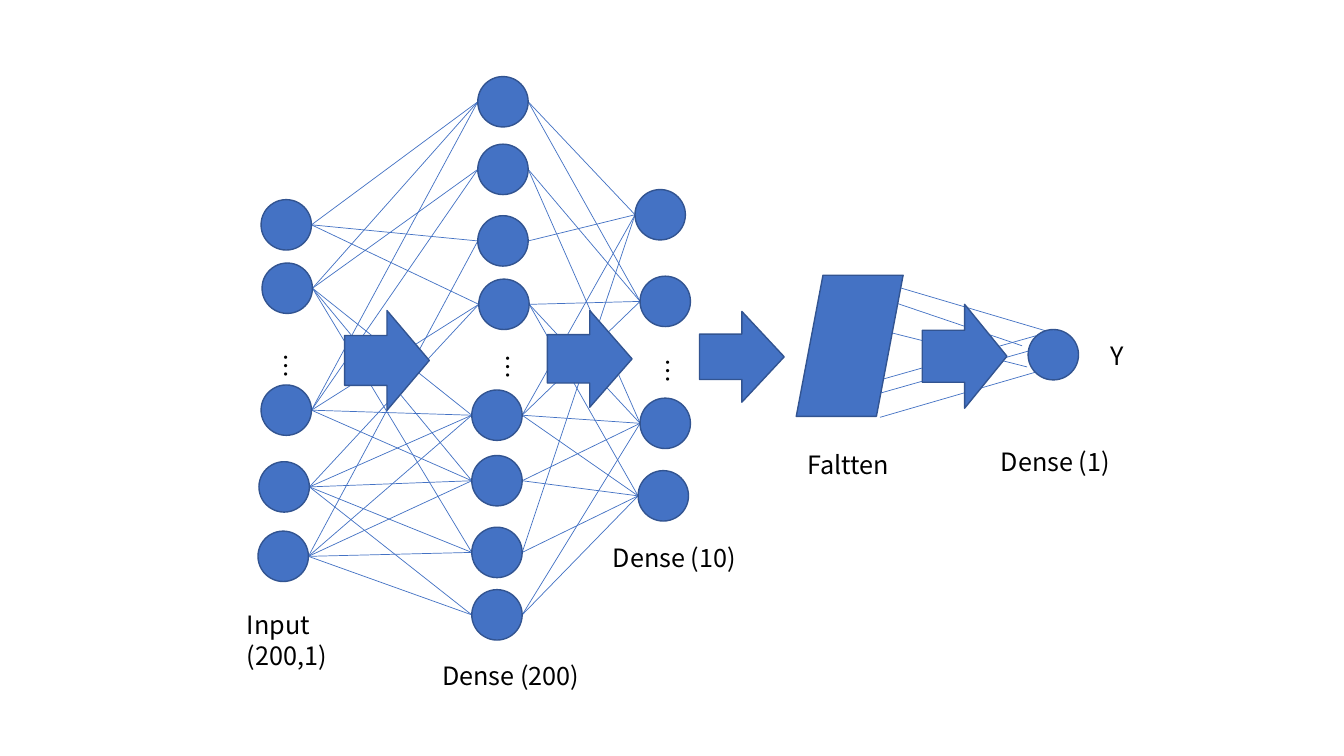
"""Build a slide showing a dense neural network from input to output Y."""
from lxml import etree
from pptx import Presentation
from pptx.dml.color import RGBColor
from pptx.enum.shapes import MSO_CONNECTOR, MSO_SHAPE
from pptx.enum.text import MSO_AUTO_SIZE
from pptx.oxml.ns import qn
from pptx.util import Pt

STRAIGHT = MSO_CONNECTOR.STRAIGHT
OVAL = MSO_SHAPE.OVAL
RIGHT_ARROW = MSO_SHAPE.RIGHT_ARROW
PARALLELOGRAM = MSO_SHAPE.PARALLELOGRAM
FIT_SHAPE = MSO_AUTO_SIZE.SHAPE_TO_FIT_TEXT

BLUE = RGBColor(0x44, 0x72, 0xC4)
DARK_BLUE = RGBColor(0x32, 0x54, 0x91)
BLACK = RGBColor(0, 0, 0)
FONT = "Noto Sans CJK SC"
NODE_SIZE = 36
ARROW_WIDTH = 60.5

INPUT_NODES = [(186.5, 142.6), (187.2, 187.9), (186.5, 275), (185, 329.8), (184.3, 379.4)]
DENSE_200_NODES = [
    (341.3, 54.7), (341.3, 103), (341.3, 154.1), (342, 199.4),
    (337, 278.6), (337, 325.4), (337, 376.6), (337, 421.2),
]
DENSE_10_NODES = [(453.6, 135.4), (457.2, 197.3), (457.2, 284.4), (455.8, 336.2)]
OUTPUT_NODES = [(734.4, 235.4)]
LAYERS = [INPUT_NODES, DENSE_200_NODES, DENSE_10_NODES, OUTPUT_NODES]

INPUT_TARGETS = [(0, 2, 3), (0, 1, 4, 5, 6), (0, 1, 3, 4, 5), (3, 4, 5, 6, 7), (2, 4, 5, 6, 7)]
DENSE_200_TARGETS = [
    (0, 1), (1, 2), (0,), (1, 2, 3), (0, 1, 2, 3), (2, 3), (0, 3), (2, 3),
]
LINKED_LAYERS = [
    (INPUT_NODES, DENSE_200_NODES, INPUT_TARGETS),
    (DENSE_200_NODES, DENSE_10_NODES, DENSE_200_TARGETS),
]
FLATTEN_LINKS = [
    (630.7, 236.2, 733.7, 262.1), (632.2, 213.8, 730.1, 247),
    (628.6, 298.1, 740.2, 265.7), (634.3, 203, 746.6, 236.2),
    (626.4, 281.5, 738, 249.8), (628.6, 271.4, 740.2, 239.8),
]

ARROWS = [(246.2, 221.8, 71.3), (391, 221.8, 69.1), (499.7, 222.5, 64.8), (658.8, 217.4, 74.2)]
FLATTEN_BOX = (568.8, 196.6, 76.3, 100.8)
LABELS = [
    ("Input\n(200,1)", (169.2, 432, 76.3, 51)),
    ("Dense (200)", (308.9, 468, 122.4, 29)),
    ("Dense (10)", (430.6, 383.8, 122.4, 29)),
    ("Faltten", (569.5, 317.5, 122.4, 29)),
    ("Dense (1)", (707.8, 315.4, 122.4, 29)),
    ("Y", (786.2, 239.8, 57.6, 29)),
]
ELLIPSES = [(182.9, 245.5, 36, 39.6), (342, 246.2, 36, 39.6), (455.8, 249.1, 36, 28.1)]


def points(values):
    return [Pt(value) for value in values]


def add_link(slide, ends):
    link = slide.shapes.add_connector(STRAIGHT, *points(ends))
    link.line.color.rgb = BLUE
    link.line.width = Pt(0.5)
    etree.SubElement(link._element.spPr, qn("a:effectLst"))


def add_blue_shape(slide, kind, box):
    shape = slide.shapes.add_shape(kind, *points(box))
    shape.shadow.inherit = False
    shape.fill.solid()
    shape.fill.fore_color.rgb = BLUE
    shape.line.color.rgb = DARK_BLUE
    shape.line.width = Pt(1)


def add_label(slide, text, box, size=18, color=BLACK, vertical=False):
    frame = slide.shapes.add_textbox(*points(box)).text_frame
    frame.word_wrap = True
    frame.auto_size = FIT_SHAPE
    frame.text = text
    if vertical:
        frame._txBody.bodyPr.set("vert", "eaVert")
    for paragraph in frame.paragraphs:
        for run in paragraph.runs:
            run.font.size = Pt(size)
            run.font.color.rgb = color
            run.font.name = FONT
            etree.SubElement(run._r.rPr, qn("a:ea"), typeface=FONT)


presentation = Presentation()
presentation.slide_width = Pt(960)
presentation.slide_height = Pt(540)
slide = presentation.slides.add_slide(presentation.slide_layouts[6])

for sources, destinations, targets in LINKED_LAYERS:
    for (left, top), indexes in zip(sources, targets):
        for index in indexes:
            end_x, end_top = destinations[index]
            add_link(slide, (left + NODE_SIZE, top + NODE_SIZE / 2, end_x, end_top + NODE_SIZE / 2))
for ends in FLATTEN_LINKS:
    add_link(slide, ends)

for layer in LAYERS:
    for left, top in layer:
        add_blue_shape(slide, OVAL, (left, top, NODE_SIZE, NODE_SIZE))
for left, top, height in ARROWS:
    add_blue_shape(slide, RIGHT_ARROW, (left, top, ARROW_WIDTH, height))
add_blue_shape(slide, PARALLELOGRAM, FLATTEN_BOX)

for text, box in LABELS:
    add_label(slide, text, box)
for box in ELLIPSES:
    add_label(slide, "…", box, vertical=True)

presentation.save("out.pptx")
